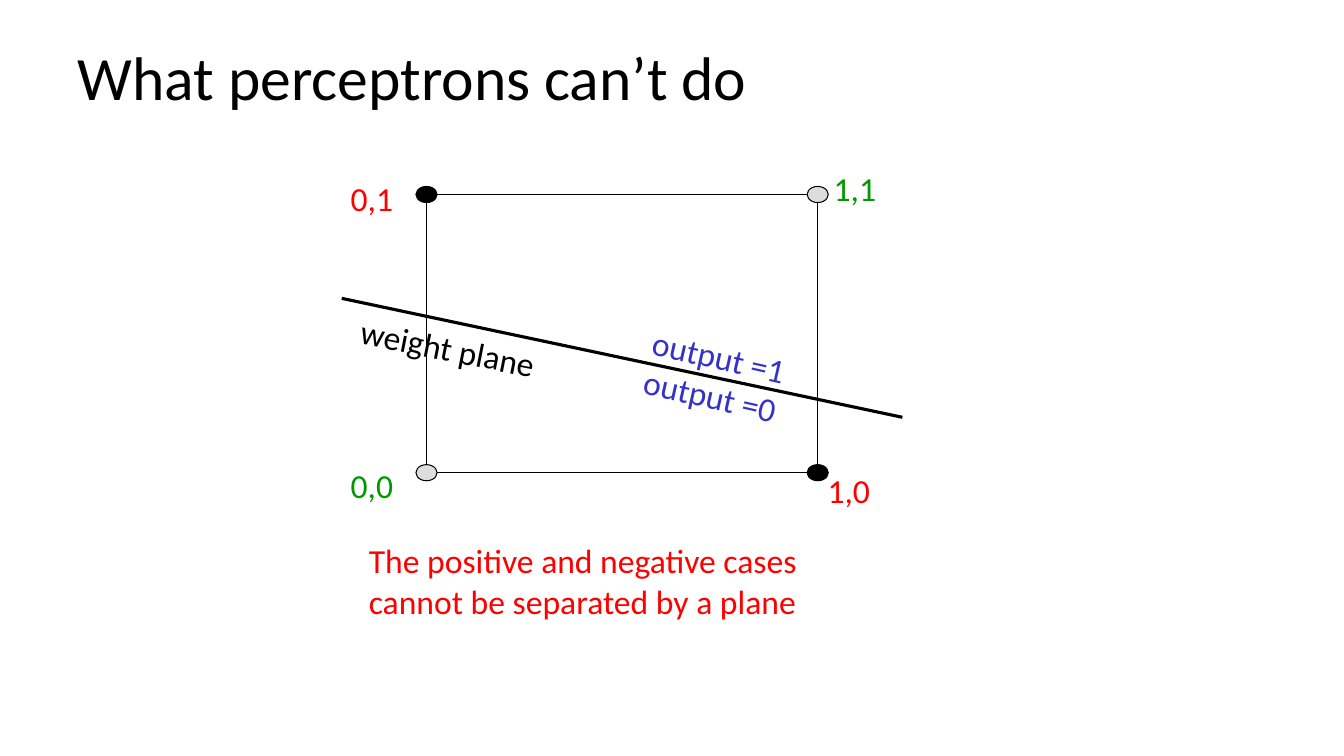
from lxml import etree
from pptx import Presentation
from pptx.dml.color import RGBColor
from pptx.enum.shapes import MSO_CONNECTOR, MSO_SHAPE
from pptx.enum.text import MSO_ANCHOR, MSO_AUTO_SIZE, PP_ALIGN
from pptx.oxml.ns import qn
from pptx.util import Inches, Pt

RECTANGLE, OVAL = MSO_SHAPE.RECTANGLE, MSO_SHAPE.OVAL
STRAIGHT = MSO_CONNECTOR.STRAIGHT
LEFT, MIDDLE = PP_ALIGN.LEFT, MSO_ANCHOR.MIDDLE
GROW = MSO_AUTO_SIZE.SHAPE_TO_FIT_TEXT

FONT = "Calibri"
BLACK, GRAY = "000000", "DDDDDD"
RED, GREEN, BLUE = "FF0000", "009900", "3333CC"


def rgb(color):
    return RGBColor.from_string(color)


def inches(box):
    return [Inches(length) for length in box]


def style_font(paragraph, size, color):
    paragraph.font.name = FONT
    paragraph.font.size = Pt(size)
    paragraph.font.color.rgb = rgb(color)


def add_text(slide, box, lines, color, rotation=0):
    text = slide.shapes.add_textbox(*inches(box))
    text.rotation = rotation
    frame = text.text_frame
    frame.word_wrap = False
    frame.auto_size = GROW
    frame.text = "\n".join(lines)
    for paragraph in frame.paragraphs:
        style_font(paragraph, 24, color)


def add_outlined(slide, kind, box, fill=None):
    shape = slide.shapes.add_shape(kind, *inches(box))
    shape.shadow.inherit = False
    if fill:
        shape.fill.solid()
        shape.fill.fore_color.rgb = rgb(fill)
    else:
        shape.fill.background()
    shape.line.color.rgb = rgb(BLACK)
    shape.line.width = Pt(0.75)


def add_title(slide, box):
    title = slide.shapes.title
    title.left, title.top, title.width, title.height = inches(box)
    frame = title.text_frame
    frame.text = "What perceptrons can’t do"
    frame.vertical_anchor = MIDDLE
    heading = frame.paragraphs[0]
    heading.alignment = LEFT
    heading.line_spacing = 0.9
    style_font(heading, 44, BLACK)


def add_unit_square(slide, box):
    left, top, width, height = box
    add_outlined(slide, RECTANGLE, box)

    # Corner cases: inputs, label offset from the corner
    cases = [
        (0, 1, -0.85, -0.21),
        (0, 0, -0.85, -0.13),
        (1, 0, 0, -0.08),
        (1, 1, 0.06, -0.31),
    ]
    dot_width, dot_height = 0.21, 0.16
    for x, y, label_dx, label_dy in cases:
        corner_x = left + x * width
        corner_y = top + (1 - y) * height
        same = x == y
        add_text(slide, (corner_x + label_dx, corner_y + label_dy, 0.63, 0.5),
                 [f"{x},{y}"], GREEN if same else RED)
        add_outlined(slide, OVAL,
                     (corner_x - dot_width / 2, corner_y - dot_height / 2,
                      dot_width, dot_height),
                     GRAY if same else BLACK)


def add_weight_plane(slide, box):
    left, top, width, height = box
    plane = slide.shapes.add_connector(
        STRAIGHT, *inches((left, top, left + width, top + height)))
    plane.line.color.rgb = rgb(BLACK)
    plane.line.width = Pt(2.25)
    etree.SubElement(plane._element.spPr, qn("a:effectLst"))

    # Labels slanted along the plane
    add_text(slide, (left + 0.08, top + 0.24, 1.96, 0.5),
             ["weight plane"], BLACK, 11.2)
    add_text(slide, (left + 2.93, top + 0.32, 1.55, 0.91),
             ["output =1", "output =0"], BLUE, 12.7)


def add_conclusion(slide, box):
    add_text(slide, box, ["The positive and negative cases",
                          "cannot be separated by a plane"], RED)


def main():
    prs = Presentation()
    prs.slide_width, prs.slide_height = inches((13.33, 7.5))
    slide = prs.slides.add_slide(prs.slide_layouts[5])
    add_title(slide, (0.67, 0.17, 12, 1.25))
    add_unit_square(slide, (4.23, 1.93, 3.88, 2.76))
    add_weight_plane(slide, (3.39, 2.96, 5.56, 1.18))
    add_conclusion(slide, (3.56, 5.31, 4.49, 0.91))
    prs.save("out.pptx")


if __name__ == "__main__":
    main()
